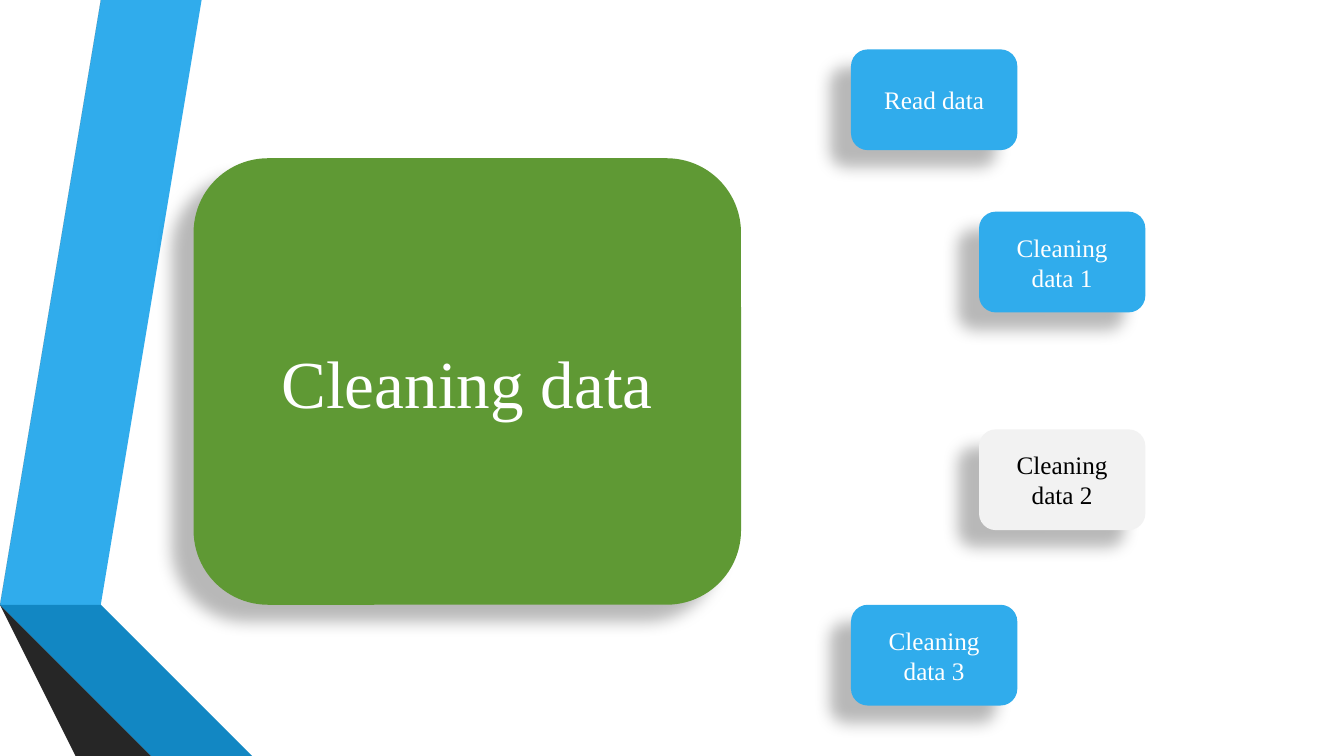
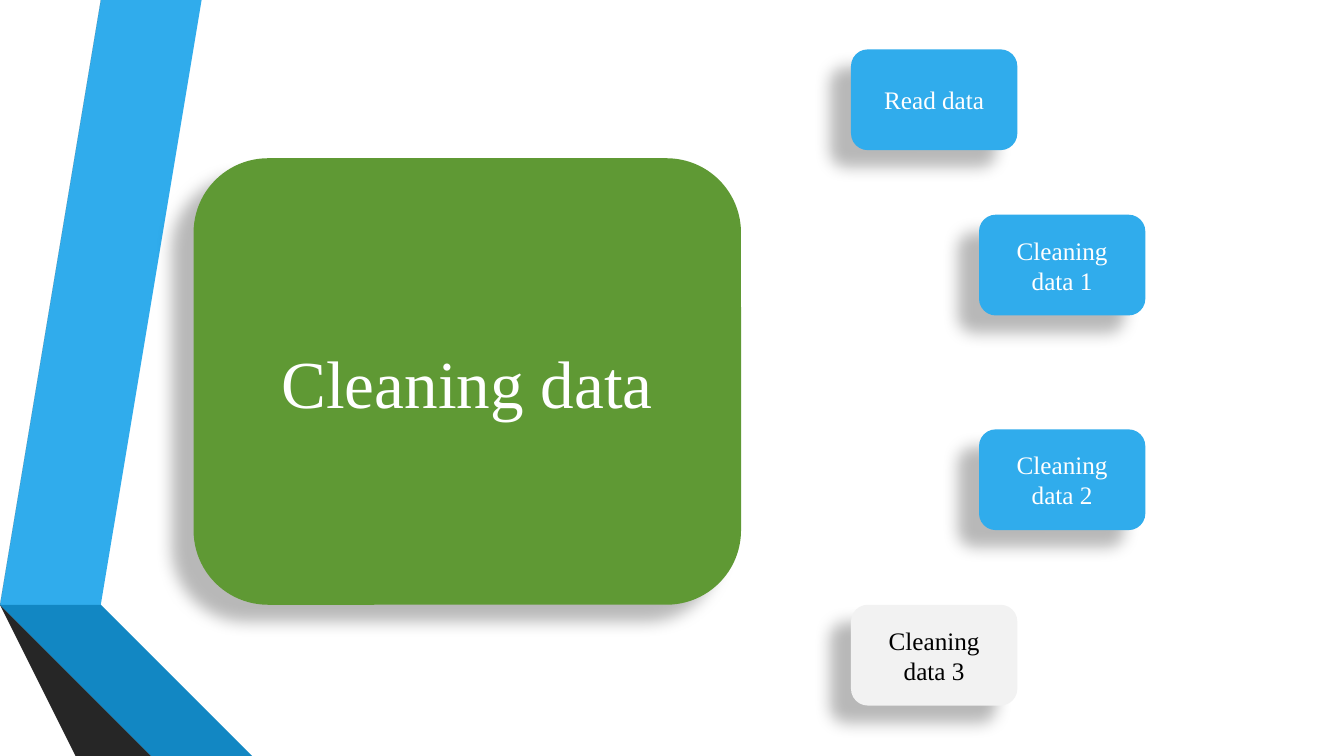
from lxml.etree import SubElement
from pptx import Presentation
from pptx.dml.color import RGBColor
from pptx.enum.shapes import MSO_SHAPE as Preset
from pptx.enum.text import MSO_ANCHOR as Anchor, PP_ALIGN as Align
from pptx.oxml.ns import qn
from pptx.util import Inches, Pt

# Grid: one column and one row are each an inch
COLUMNS, ROWS = 13.33, 7.5
CELL = Inches(1)
FONT = "Times New Roman"

COLORS = {
    "sky": "30ACEC", "blue": "1287C3", "navy": "0C5A82",
    "gray": "595959", "charcoal": "404040", "coal": "262626",
    "green": "5F9934", "pale": "F2F2F2", "white": "FFFFFF", "black": "000000",
}

# Folded ribbon at the left edge, back to front: colour and corners
RIBBON = [
    ("sky", [(0.5, 5.78), (0.77, 5.83), (1.73, 0), (1.45, 0)]),
    ("gray", [(1.39, 0), (1.11, 0), (0.16, 5.73), (0.44, 5.77)]),
    ("coal", [(0.16, 5.73), (1.45, ROWS), (1.51, ROWS)]),
    ("navy", [(0.5, 5.79), (2.08, ROWS), (2.14, ROWS)]),
    ("blue", [(0.5, 5.79), (2.14, ROWS), (2.83, ROWS), (0.77, 5.83), (0.5, 5.78)]),
    ("charcoal", [(2.02, ROWS), (0.48, 5.83), (0.43, 5.78), (0.44, 5.77),
                  (0.16, 5.73), (1.51, ROWS)]),
]

# Steps stand in an outer and an inner column
STEP_SIZE = (1.65, 1)
OUTER, INNER = 8.44, 9.71


def cells(*counts):
    return [round(count * CELL) for count in counts]


def color(name):
    return RGBColor.from_string(COLORS[name])


def paint(shape, fill):
    shape.fill.solid()
    shape.fill.fore_color.rgb = color(fill)
    shape.line.fill.background()
    shape.shadow.inherit = False


def cast_shadow(shape):
    effects = shape.element.spPr.find(qn("a:effectLst"))
    shadow = SubElement(effects, qn("a:outerShdw"), blurRad=str(Pt(11.8)),
                        dist=str(Pt(19.7)), dir=str(141 * 60000),
                        algn="ctr", rotWithShape="0")
    tint = SubElement(shadow, qn("a:srgbClr"), val=COLORS["black"])
    SubElement(tint, qn("a:alpha"), val="28000")


def add_ribbon(page):
    group = page.shapes.add_group_shape()
    for fill, corners in RIBBON:
        start, *others = corners
        outline = group.shapes.build_freeform(*start, scale=CELL)
        outline.add_line_segments(others, close=True)
        paint(outline.convert_to_shape(), fill)


def add_card(page, text, place, size, fill, points, ink="white"):
    box = page.shapes.add_shape(Preset.ROUNDED_RECTANGLE, *cells(*place, *size))
    paint(box, fill)
    cast_shadow(box)
    frame = box.text_frame
    frame.word_wrap = True
    frame.vertical_anchor = Anchor.MIDDLE
    para = frame.paragraphs[0]
    para.alignment = Align.CENTER
    span = para.add_run()
    span.text = text
    span.font.name = FONT
    span.font.size = Pt(points)
    span.font.color.rgb = color(ink)


def add_step_page(deck, current, first_cleaning_row):
    page = deck.slides.add_slide(deck.slide_layouts[6])
    add_ribbon(page)
    add_card(page, "Cleaning data", (1.92, 1.57), (5.43, 4.43), "green", 48)
    steps = [
        ("Read data", (OUTER, 0.49)),
        ("Cleaning data 1", (INNER, first_cleaning_row)),
        ("Cleaning data 2", (INNER, 4.26)),
        ("Cleaning data 3", (OUTER, 6)),
    ]
    for text, place in steps:
        # The current step is pale with black text
        fill, ink = ("pale", "black") if text == current else ("sky", "white")
        add_card(page, text, place, STEP_SIZE, fill, 18, ink)


def main():
    deck = Presentation()
    deck.slide_width, deck.slide_height = cells(COLUMNS, ROWS)
    add_step_page(deck, "Cleaning data 2", 2.1)
    add_step_page(deck, "Cleaning data 3", 2.13)
    deck.save("out.pptx")


main()
